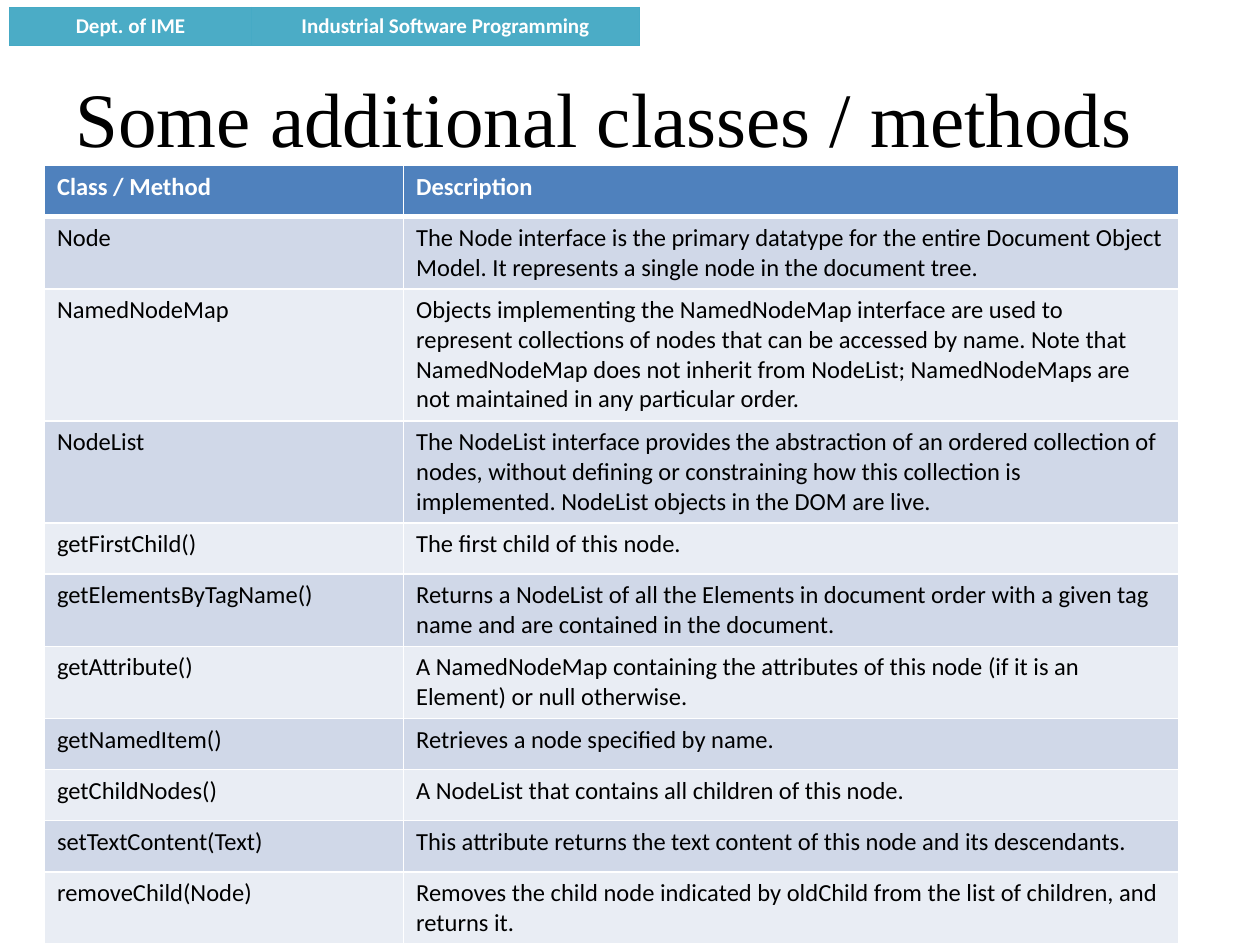
from lxml import etree
from pptx import Presentation
from pptx.dml.color import RGBColor
from pptx.enum.text import MSO_ANCHOR, PP_ALIGN
from pptx.oxml.ns import qn
from pptx.util import Pt

LEFT, CENTER = PP_ALIGN.LEFT, PP_ALIGN.CENTER
MIDDLE = MSO_ANCHOR.MIDDLE
TITLE_ONLY = 5

WHITE, BLACK, TEAL, TEAL_EDGE = "FFFFFF", "000000", "4BACC6", "46AAC5"
HEADER, BANDS = "4F81BD", ("D0D8E8", "E9EDF4")


def format_text(paragraph, align, color, **font_values):
    """Align a paragraph and set its font values and colour."""
    paragraph.alignment = align
    for name, value in font_values.items():
        setattr(paragraph.font, name, value)
    paragraph.font.color.rgb = RGBColor.from_string(color)


def paint_cell(cell, fill, edge, widths):
    """Give a cell its fill and its left, right, top and bottom borders."""
    properties = cell._tc.get_or_add_tcPr()
    for side, width in zip("LRTB", widths):
        line = etree.SubElement(properties, qn("a:ln" + side), w=str(Pt(width)))
        solid = etree.SubElement(line, qn("a:solidFill"))
        etree.SubElement(solid, qn("a:srgbClr"), val=edge)
    cell.fill.solid()
    cell.fill.fore_color.rgb = RGBColor.from_string(fill)


prs = Presentation()
prs.slide_width, prs.slide_height = Pt(720), Pt(540)
slide = prs.slides.add_slide(prs.slide_layouts[TITLE_ONLY])

title = slide.shapes.title
title.left, title.top, title.width, title.height = Pt(36), Pt(21.6), Pt(648), Pt(90)
title.text_frame.text = "Some additional classes / methods"
title.text_frame.vertical_anchor = MIDDLE
format_text(title.text_frame.paragraphs[0], LEFT, BLACK,
            name="Times New Roman", size=Pt(44))

banner_rows = [("Dept. of IME", "Industrial Software Programming")]
method_rows = [
    ("Class / Method", "Description"),
    ("Node", "The Node interface is the primary datatype for the entire Document "
     "Object Model. It represents a single node in the document tree."),
    ("NamedNodeMap", "Objects implementing the NamedNodeMap interface are used to "
     "represent collections of nodes that can be accessed by name. Note that "
     "NamedNodeMap does not inherit from NodeList; NamedNodeMaps are not maintained "
     "in any particular order."),
    ("NodeList", "The NodeList interface provides the abstraction of an ordered "
     "collection of nodes, without defining or constraining how this collection is "
     "implemented. NodeList objects in the DOM are live."),
    ("getFirstChild()", "The first child of this node."),
    ("getElementsByTagName()", "Returns a NodeList of all the Elements in document "
     "order with a given tag name and are contained in the document."),
    ("getAttribute()", "A NamedNodeMap containing the attributes of this node (if it "
     "is an Element) or null otherwise."),
    ("getNamedItem()", "Retrieves a node specified by name."),
    ("getChildNodes()", "A NodeList that contains all children of this node."),
    ("setTextContent(Text)", "This attribute returns the text content of this node "
     "and its descendants."),
    ("removeChild(Node)", "Removes the child node indicated by oldChild from the list "
     "of children, and returns it."),
]

# rows, left, top, column widths, row height, font size, alignment, header fill, edge, widths
tables = [
    (banner_rows, 5.5, 4.3, (138.2, 221.8), 19.4, 12, CENTER, TEAL, TEAL_EDGE,
     (0.75, 0.75, 0.75, 0.75)),
    (method_rows, 25.4, 94.6, (205.2, 442.8), 29.2, 14, LEFT, HEADER, WHITE,
     (1, 1, 1, 3)),
]
for rows, left, top, columns, height, size, align, head_fill, edge, head_widths in tables:
    table = slide.shapes.add_table(len(rows), len(columns), Pt(left), Pt(top),
                                   Pt(sum(columns)), Pt(height * len(rows))).table
    table.first_row = table.horz_banding = False
    for column, width in zip(table.columns, columns):
        column.width = Pt(width)
    for r, texts in enumerate(rows):
        table.rows[r].height = Pt(height)
        is_head = r == 0
        fill = head_fill if is_head else BANDS[(r - 1) % 2]
        top_width = head_widths[3] if r == 1 else 1
        widths = head_widths if is_head else (1, 1, top_width, 1)
        for c, text in enumerate(texts):
            cell = table.cell(r, c)
            cell.text = text
            format_text(cell.text_frame.paragraphs[0], align,
                        WHITE if is_head else BLACK,
                        name="Calibri", size=Pt(size), bold=is_head)
            paint_cell(cell, fill, edge, widths)

prs.save("out.pptx")
